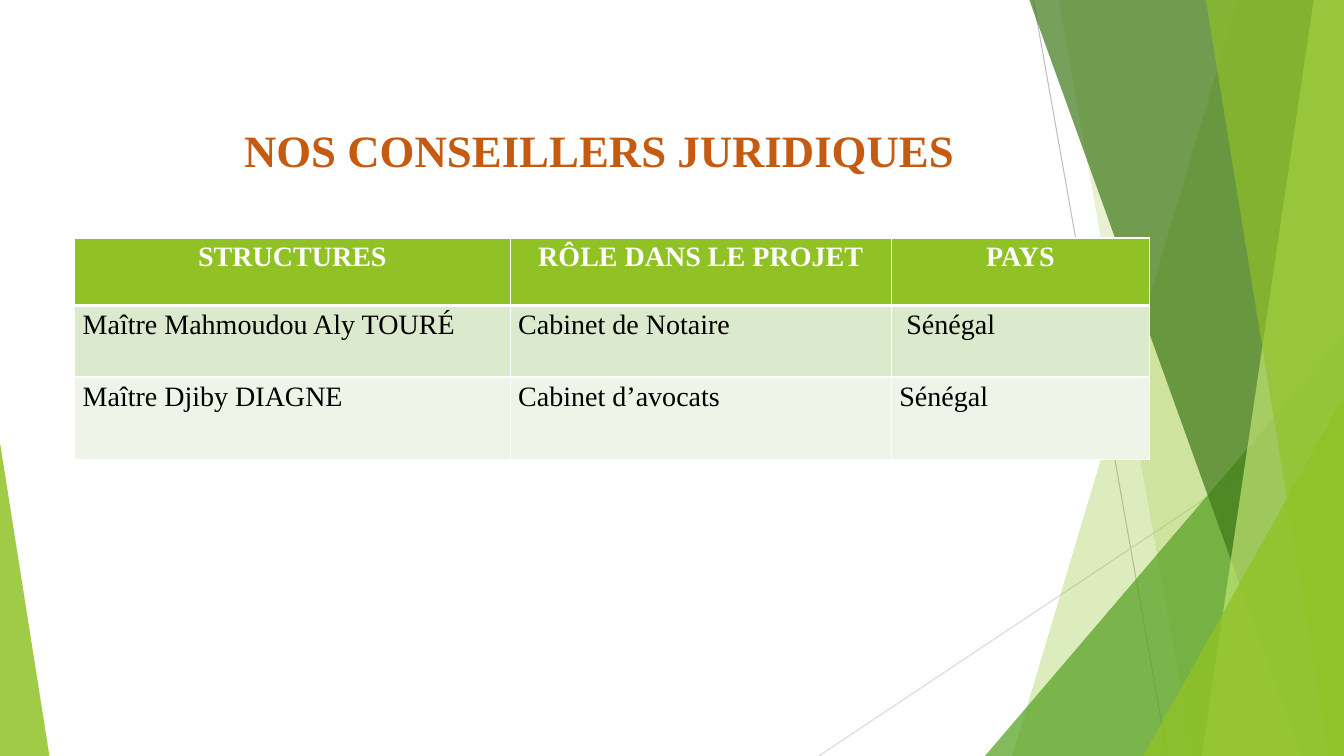
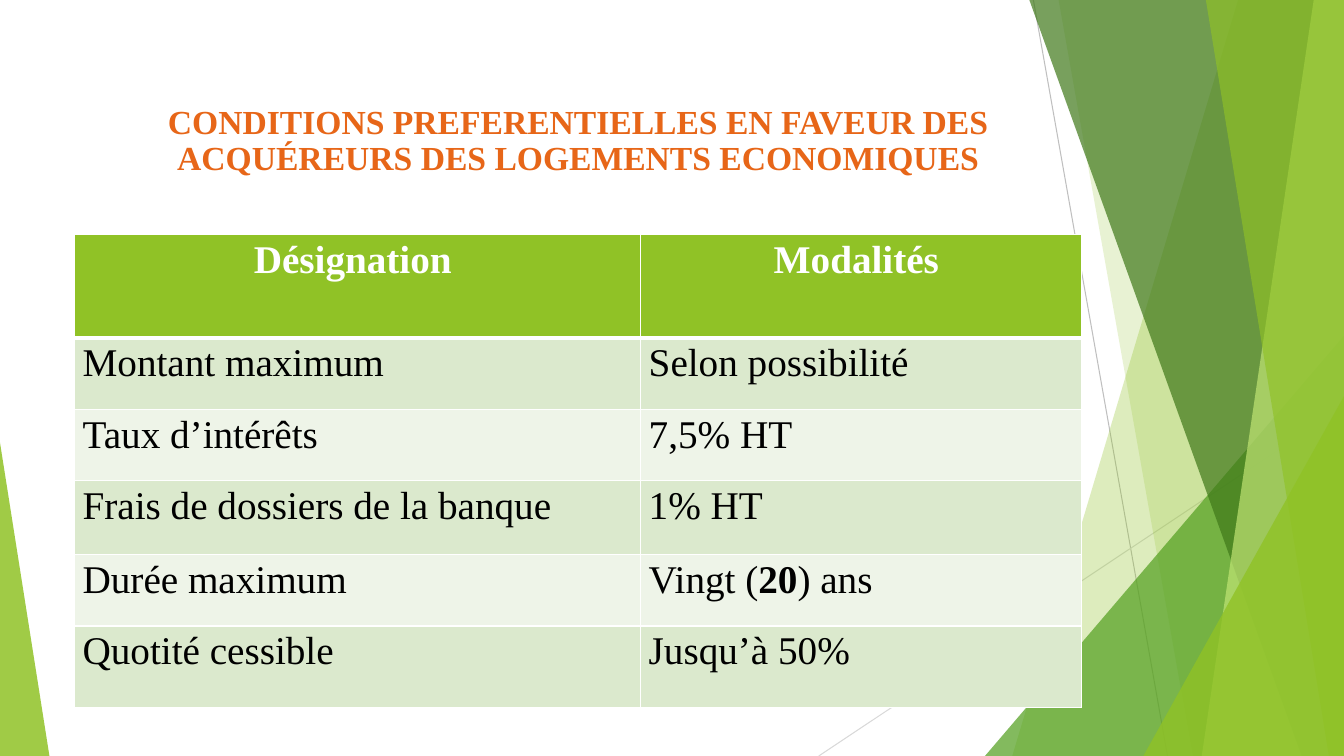
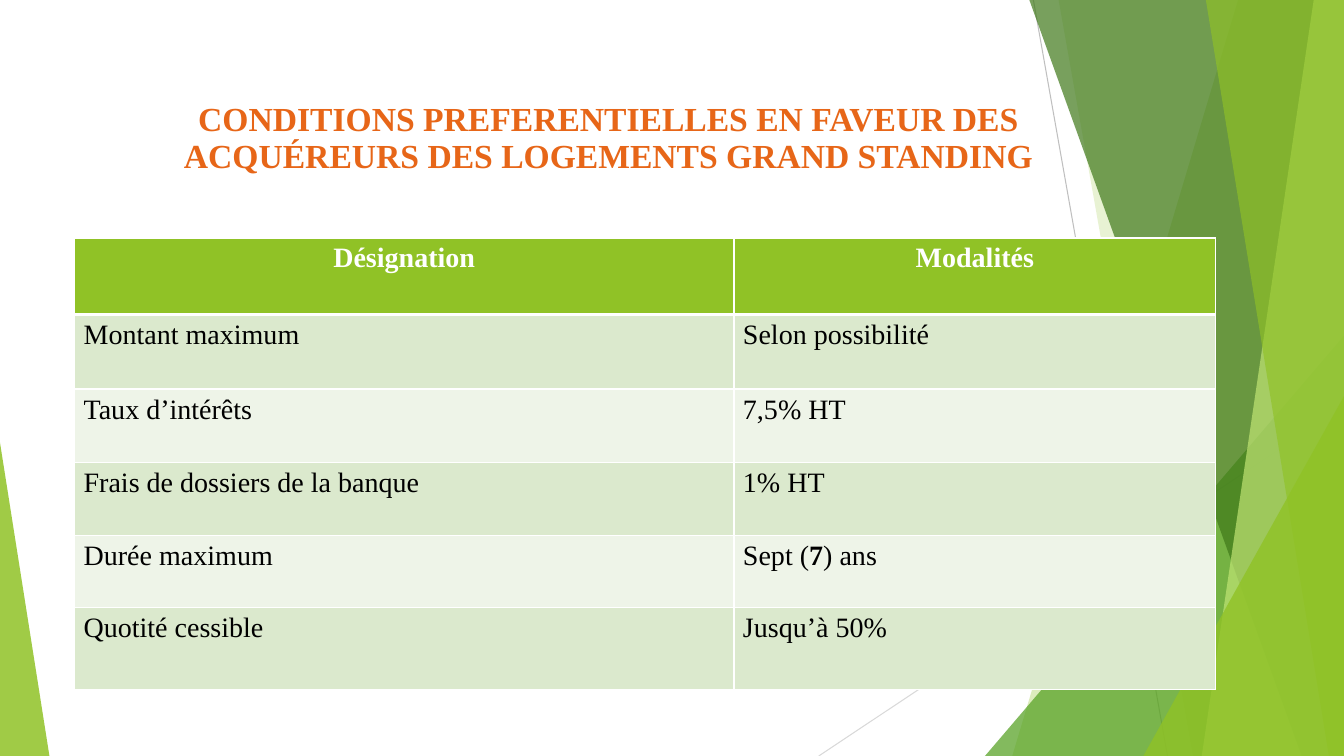
from dataclasses import dataclass

from lxml.etree import SubElement
from pptx import Presentation
from pptx.dml.color import RGBColor
from pptx.enum.shapes import MSO_CONNECTOR, MSO_SHAPE
from pptx.enum.text import MSO_ANCHOR, PP_ALIGN
from pptx.oxml.ns import qn
from pptx.util import Inches, Pt

COLORS = {
    "white": "FFFFFF", "black": "000000",
    "lime": "90C226", "pale_lime": "C0E474", "green": "54A021", "forest": "3F7819",
    "gray": "BFBFBF", "light_gray": "D9D9D9",
    "rust": "C55A11", "orange": "E76618",
    "band_dark": "DBE9CD", "band_light": "EEF4E8",
}
FONT = "Times New Roman"
WIDTH, HEIGHT = Inches(13.33), Inches(7.5)
MARGIN = 5.55  # left edge of titles and tables, % of the width


# Horizontal lengths are percentages of the slide's width, vertical ones of its height.
@dataclass(frozen=True)
class Hairline:
    x1: float
    y1: float
    x2: float
    y2: float
    color: str


@dataclass(frozen=True)
class Ribbon:
    """Full-height band from a slanted left edge to the right side of the slide."""
    top: float
    bottom: float
    color: str
    alpha: int


@dataclass(frozen=True)
class Triangle:
    """Triangle standing on the bottom of the slide."""
    left: float
    top: float
    width: float
    apex: float
    color: str
    alpha: int


@dataclass(frozen=True)
class Title:
    text: str
    top: float
    width: float
    height: float
    size: int
    color: str


@dataclass(frozen=True)
class Grid:
    top: float
    cols: tuple[float, ...]
    rows: tuple[float, ...]
    size: int
    inset: tuple[float, float]  # horizontal and vertical, inches
    cells: list[tuple]


DECOR = [
    Hairline(76.89, 0, 86.87, 100, "gray"),
    Hairline(100, 53.73, 60.92, 100, "light_gray"),
    Ribbon(92.12, 75.32, "lime", 30),
    Ribbon(78.77, 88.75, "lime", 20),
    Triangle(73.29, 44.4, 26.71, 1, "green", 72),
    Ribbon(76.59, 96.85, "forest", 70),
    Ribbon(97.75, 89.42, "pale_lime", 70),
    Ribbon(89.72, 98.87, "lime", 65),
    Triangle(85.07, 52.4, 14.93, 1, "lime", 80),
    Triangle(0, 58.53, 3.68, 0, "lime", 85),
]


def across(percent: float) -> int:
    return round(WIDTH * percent / 100)


def down(percent: float) -> int:
    return round(HEIGHT * percent / 100)


def rgb(name: str) -> RGBColor:
    return RGBColor.from_string(COLORS[name])


def style_font(p, size: int, color: str, bold: bool) -> None:
    p.font.name, p.font.size, p.font.bold = FONT, Pt(size), bold
    p.font.color.rgb = rgb(color)


def paint(sp, color: str, alpha: int) -> None:
    sp.shadow.inherit = False
    sp.line.fill.background()
    sp.fill.solid()
    sp.fill.fore_color.rgb = rgb(color)
    fill = sp._element.spPr.find(qn("a:solidFill"))
    SubElement(fill[0], qn("a:alpha"), val=str(alpha * 1000))


def draw_decor(s) -> None:
    shapes = s.shapes.add_group_shape().shapes
    for part in DECOR:
        if isinstance(part, Hairline):
            line = shapes.add_connector(MSO_CONNECTOR.STRAIGHT, across(part.x1), down(part.y1),
                                        across(part.x2), down(part.y2))
            line.line.width = Pt(0.75)
            line.line.color.rgb = rgb(part.color)
            SubElement(line._element.spPr, qn("a:effectLst"))
            continue
        if isinstance(part, Ribbon):
            outline = shapes.build_freeform(across(part.top), 0)
            outline.add_line_segments(
                [(WIDTH, 0), (WIDTH, HEIGHT), (across(part.bottom), HEIGHT)], close=True)
            sp = outline.convert_to_shape()
        else:
            sp = shapes.add_shape(MSO_SHAPE.ISOSCELES_TRIANGLE, across(part.left), down(part.top),
                                  across(part.width), down(100 - part.top))
            sp.adjustments[0] = part.apex
        paint(sp, part.color, part.alpha)


def draw_title(s, title: Title) -> None:
    box = s.shapes.add_textbox(across(MARGIN), down(title.top),
                               across(title.width), down(title.height))
    tf = box.text_frame
    tf.word_wrap = True
    tf.vertical_anchor = MSO_ANCHOR.MIDDLE
    p = tf.paragraphs[0]
    p.text = title.text
    p.alignment = PP_ALIGN.CENTER
    p.line_spacing = 0.9
    style_font(p, title.size, title.color, True)


def add_borders(cell, top: int, bottom: int) -> None:
    tc_pr = cell._tc.get_or_add_tcPr()
    for side, width in (("L", 1), ("R", 1), ("T", top), ("B", bottom)):
        ln = SubElement(tc_pr, qn(f"a:ln{side}"), w=str(Pt(width)))
        SubElement(SubElement(ln, qn("a:solidFill")), qn("a:srgbClr"), val=COLORS["white"])


def fill_cell(cell, content: str | tuple[str, ...], row: int, grid: Grid) -> None:
    header = row == 0
    # A thick rule separates the header from the body
    add_borders(cell, top=3 if row == 1 else 1, bottom=3 if header else 1)
    cell.fill.solid()
    cell.fill.fore_color.rgb = rgb("lime" if header else "band_dark" if row % 2 else "band_light")
    cell.margin_left = cell.margin_right = Inches(grid.inset[0])
    cell.margin_top = cell.margin_bottom = Inches(grid.inset[1])
    p = cell.text_frame.paragraphs[0]
    p.alignment = PP_ALIGN.CENTER if header else PP_ALIGN.LEFT
    style_font(p, grid.size, "white" if header else "black", header)
    # In a tuple, every second piece is bold
    pieces = (content,) if isinstance(content, str) else content
    for i, piece in enumerate(pieces):
        r = p.add_run()
        r.text = piece
        if i % 2:
            r.font.bold = True


def draw_table(s, grid: Grid) -> None:
    table = s.shapes.add_table(len(grid.rows), len(grid.cols), across(MARGIN), down(grid.top),
                               across(sum(grid.cols)), down(sum(grid.rows))).table
    table.first_row = table.horz_banding = False
    for column, width in zip(table.columns, grid.cols):
        column.width = across(width)
    for row, height in zip(table.rows, grid.rows):
        row.height = down(height)
    for i, contents in enumerate(grid.cells):
        for j, content in enumerate(contents):
            fill_cell(table.cell(i, j), content, i, grid)


def loan_terms(header: tuple[str, str], years: tuple[str, str]) -> list[tuple]:
    word, number = years
    return [
        header,
        ("Montant maximum", "Selon possibilité"),
        ("Taux d’intérêts", "7,5% HT"),
        ("Frais de dossiers de la banque", "1% HT"),
        ("Durée maximum", (f"{word} (", number, ") ans")),
        ("Quotité cessible", "Jusqu’à 50%"),
    ]


LOAN_TITLE = "CONDITIONS PREFERENTIELLES EN FAVEUR DES ACQUÉREURS DES LOGEMENTS "

SLIDES = [
    # Legal advisers
    (Title("NOS CONSEILLERS JURIDIQUES", 16, 78.09, 8.53, 32, "rust"),
     Grid(31.47, (32.41, 28.36, 19.2), (8.93, 9.47, 10.93), 20, (0.08, 0.04), [
         ("STRUCTURES", "RÔLE DANS LE PROJET", "PAYS"),
         ("Maître Mahmoudou Aly TOURÉ", "Cabinet de Notaire", " Sénégal"),
         ("Maître Djiby DIAGNE", "Cabinet d’avocats", "Sénégal"),
     ])),
    # Loan terms, economy housing
    (Title(LOAN_TITLE + "ECONOMIQUES", 11.87, 74.94, 13.73, 24, "orange"),
     Grid(31.07, (42.12, 32.82), (13.6, 9.47, 9.47, 9.73, 9.47, 10.8), 28, (0.08, 0.04),
          loan_terms(("Désignation ", "Modalités "), ("Vingt", "20")))),
    # Loan terms, high-end housing
    (Title(LOAN_TITLE + "GRAND STANDING", 11.87, 79.44, 13.07, 24, "orange"),
     Grid(31.47, (49.06, 35.86), (10.13, 9.87, 9.73, 9.6, 9.6, 10.8), 20, (0.09, 0.05),
          loan_terms(("Désignation", "Modalités"), ("Sept", "7")))),
]


def main() -> None:
    prs = Presentation()
    prs.slide_width, prs.slide_height = WIDTH, HEIGHT
    for title, grid in SLIDES:
        s = prs.slides.add_slide(prs.slide_layouts[6])
        draw_decor(s)
        draw_title(s, title)
        draw_table(s, grid)
    prs.save("out.pptx")


if __name__ == "__main__":
    main()
